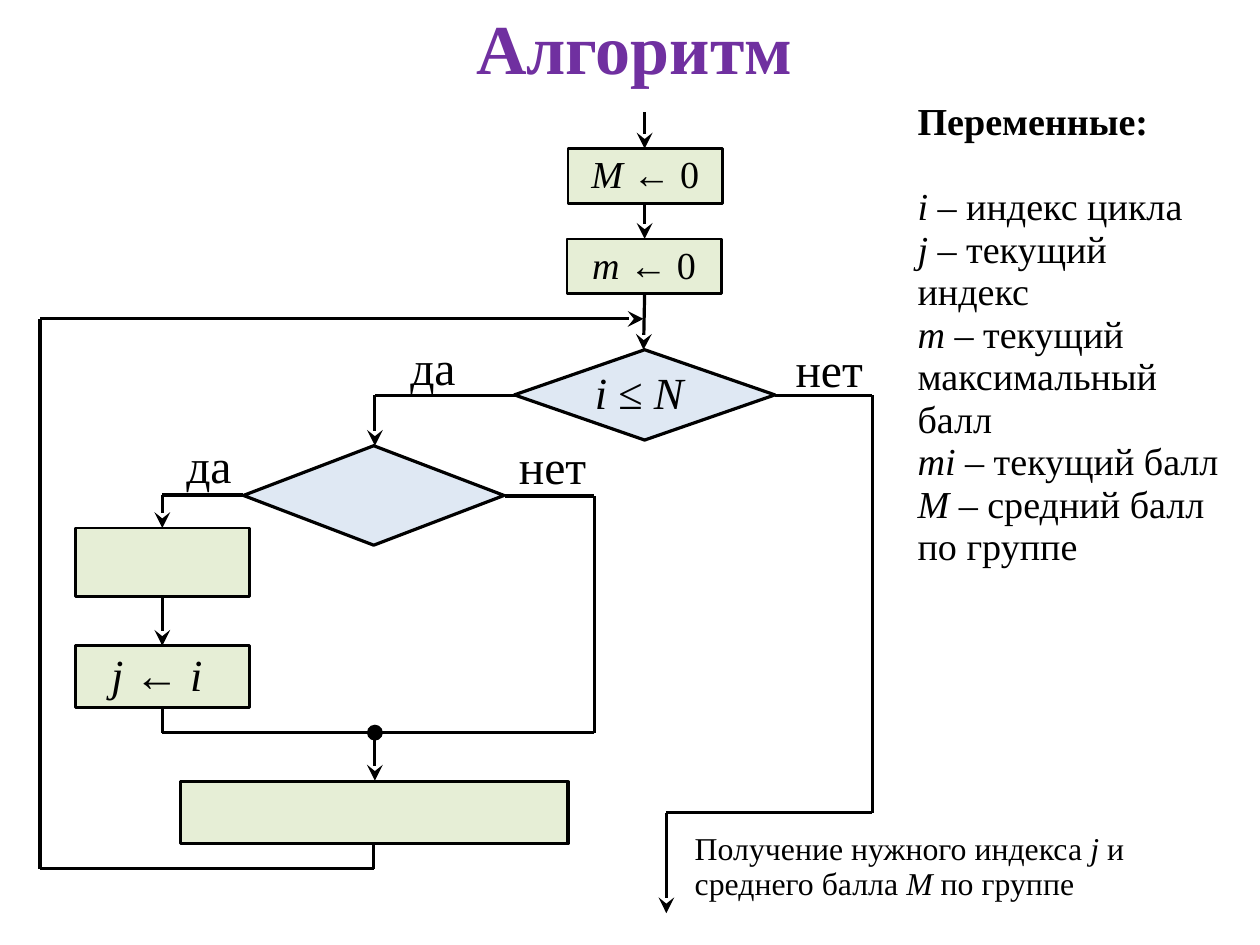
from lxml import etree
from pptx import Presentation
from pptx.dml.color import RGBColor
from pptx.enum import shapes, text
from pptx.oxml.ns import qn
from pptx.util import Cm, Inches, Pt

BLACK = RGBColor(0x00, 0x00, 0x00)
PURPLE = RGBColor(0x70, 0x30, 0xA0)
GREEN = RGBColor(0xD7, 0xE4, 0xBD)
BLUE = RGBColor(0x4F, 0x81, 0xBD)
LEFT, CENTER = text.PP_ALIGN.LEFT, text.PP_ALIGN.CENTER
RECT, DIAMOND = shapes.MSO_SHAPE.RECTANGLE, shapes.MSO_SHAPE.DIAMOND

# Slide of 28 by 21 cm
prs = Presentation()
prs.slide_width, prs.slide_height = Cm(28), Cm(21)
s = prs.slides.add_slide(prs.slide_layouts[6])


def write(tf, lines, size, align=LEFT, color=BLACK, spacing=0.93):
    """Fill a frame; text between underscores is italic."""
    tf.word_wrap = True
    for n, line in enumerate(lines):
        p = tf.paragraphs[0] if n == 0 else tf.add_paragraph()
        p.alignment, p.line_spacing = align, spacing
        p.font.name, p.font.size, p.font.color.rgb = "Times New Roman", Pt(size), color
        for k, part in enumerate(line.split("_")):
            if part:
                r = p.add_run()
                r.text, r.font.italic = part, k % 2 == 1


def text_box(x, y, w, h):
    return s.shapes.add_textbox(Inches(x), Inches(y), Inches(w), Inches(h)).text_frame


# Title
tf = text_box(0.59, 0.09, 9.92, 0.65)
tf.margin_top, tf.margin_bottom = Inches(0.04), Inches(0.06)
tf.vertical_anchor = text.MSO_ANCHOR.MIDDLE
write(tf, ["Алгоритм"], 44.1, CENTER, PURPLE, 1.0)
tf.paragraphs[0].font.bold = True

# Flowchart blocks: kind, position, size, line width, text, text size
blocks = [
    (RECT, 4.97, 1.3, 1.35, 0.48, 1.75, "_M ← _0", 24),
    (RECT, 4.96, 2.09, 1.35, 0.48, 1.75, "_m ← _0", 24),
    (DIAMOND, 4.5, 3.06, 2.28, 0.79, 2, "_i _≤ _N _", 28),
    (DIAMOND, 2.13, 3.9, 2.28, 0.87, 2, "", 28),
    (RECT, 0.66, 4.62, 1.52, 0.6, 1.75, "", 28),
    (RECT, 0.66, 5.65, 1.52, 0.54, 1.75, "_j ← i _", 28),
    (RECT, 1.58, 6.84, 3.39, 0.54, 2, "", 28),
]
for kind, x, y, w, h, line_width, label, size in blocks:
    sp = s.shapes.add_shape(kind, Inches(x), Inches(y), Inches(w), Inches(h))
    sp.shadow.inherit = False
    color, alpha = (BLUE, 18000) if kind == DIAMOND else (GREEN, 61000)
    sp.fill.solid()
    sp.fill.fore_color.rgb = color
    srgb = sp.fill._xPr.find(qn("a:solidFill"))[0]
    etree.SubElement(srgb, qn("a:alpha"), val=str(alpha))
    sp.line.color.rgb, sp.line.width = BLACK, Pt(line_width)
    if label:
        sp.text_frame.vertical_anchor = text.MSO_ANCHOR.MIDDLE
        write(sp.text_frame, [label], size, CENTER)

# Flow lines: corner points, arrowhead at start, arrowhead at end
routes = [
    ([(5.64, 0.98), (5.64, 1.3)], None, "stealth"),
    ([(5.64, 1.78), (5.64, 2.09)], None, "stealth"),
    ([(5.64, 2.57), (5.63, 3.06)], None, "stealth"),
    ([(4.52, 3.46), (3.28, 3.46), (3.28, 3.9)], None, "stealth"),
    ([(2.13, 4.33), (1.42, 4.33), (1.42, 4.62)], None, "stealth"),
    ([(1.42, 5.22), (1.42, 5.65)], None, "stealth"),
    ([(4.42, 4.34), (5.2, 4.34), (5.2, 6.41), (1.42, 6.41), (1.42, 6.19)], None, None),
    ([(3.28, 6.41), (3.28, 6.83)], "oval", "stealth"),
    ([(3.27, 7.38), (3.27, 7.6), (0.35, 7.6), (0.35, 2.79), (5.63, 2.79)], None, "stealth"),
    ([(6.78, 3.46), (7.63, 3.46), (7.63, 7.11), (5.83, 7.11), (5.83, 7.99)], None, "stealth"),
]
for points, head, tail in routes:
    for (x1, y1), (x2, y2) in zip(points, points[1:]):
        c = s.shapes.add_connector(shapes.MSO_CONNECTOR.STRAIGHT,
                                   Inches(x1), Inches(y1), Inches(x2), Inches(y2))
        c.line.color.rgb, c.line.width = BLACK, Pt(2)
        ln = c.line._get_or_add_ln()
        if head and (x1, y1) == points[0]:
            etree.SubElement(ln, qn("a:headEnd"), type=head, w="lg", len="lg")
        if tail and (x2, y2) == points[-1]:
            etree.SubElement(ln, qn("a:tailEnd"), type=tail, w="lg", len="lg")
        etree.SubElement(ln.getparent(), qn("a:effectLst"))

# Branch labels
for label, x, y, w in [("да", 3.47, 3, 0.74), ("нет", 6.84, 3.02, 0.74),
                       ("да", 1.51, 3.86, 0.57), ("нет", 4.42, 3.87, 0.87)]:
    tf = text_box(x, y, w, 0.4)
    tf.margin_left = tf.margin_right = tf.margin_top = tf.margin_bottom = 0
    write(tf, [label], 30)
    tf.paragraphs[0]._p.get_or_add_pPr().set("marL", str(Inches(0.12)))

# Variables
tf = text_box(7.93, 0.84, 2.86, 4.61)
write(tf, ["Переменные:", "_i_ – индекс цикла", "_j_ – текущий индекс",
           "_m_ – текущий максимальный балл", "_mi_ – текущий балл",
           "_M_ – средний балл по группе"], 24)
tf.paragraphs[0].font.bold = True
tf.paragraphs[0].space_after = Pt(26.8)

# Result
write(text_box(5.98, 7.23, 4.36, 0.73),
      ["Получение нужного индекса _j _и среднего балла _M_ по группе"], 20)

prs.save("out.pptx")
